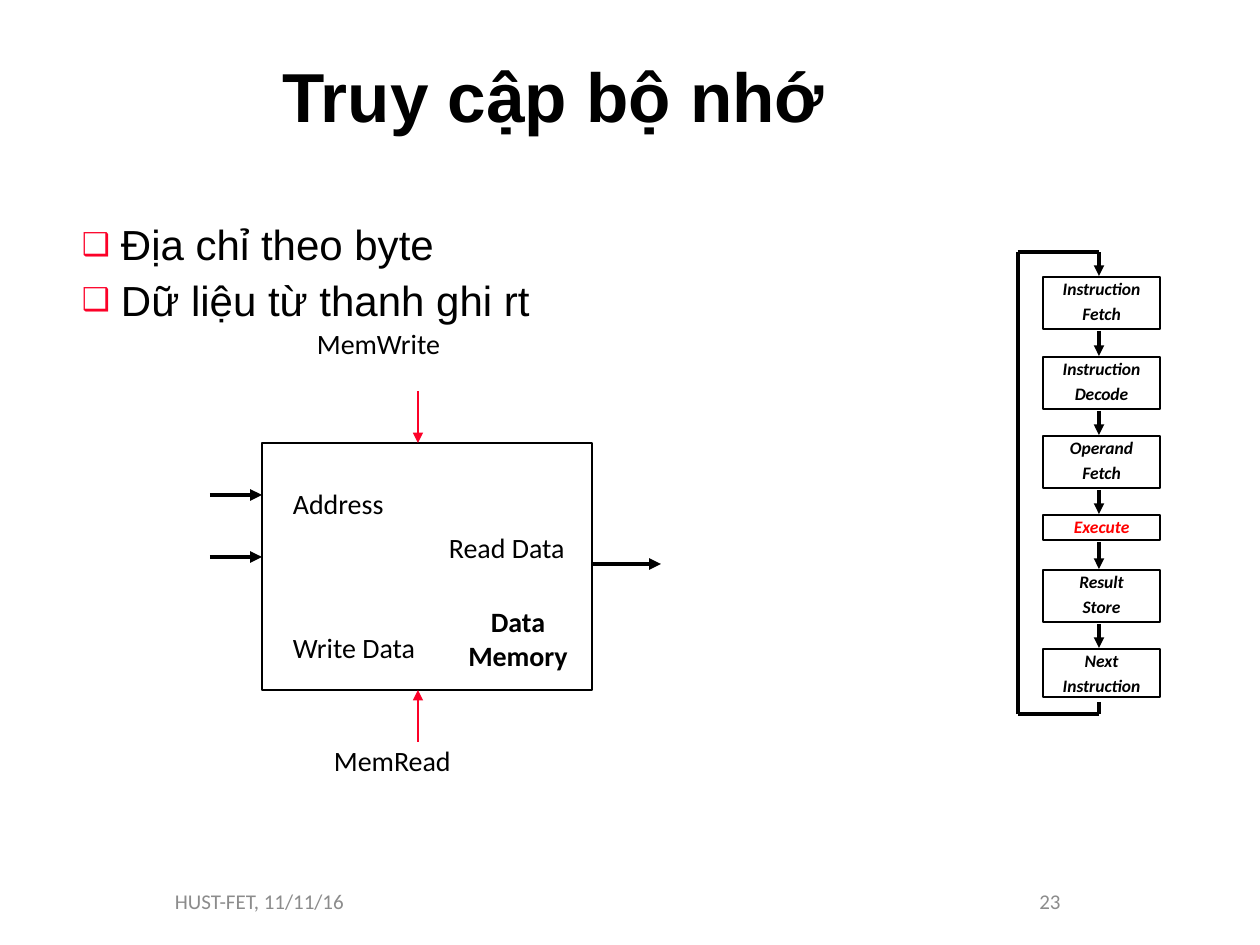
from lxml.etree import SubElement
from pptx import Presentation
from pptx.dml.color import RGBColor
from pptx.enum.shapes import MSO_CONNECTOR as Connector, MSO_SHAPE as Shape
from pptx.enum.text import MSO_ANCHOR as Anchor, PP_ALIGN as Align
from pptx.oxml.ns import qn
from pptx.util import Inches, Pt

PX = Inches(1) / 126
BLACK, RED, BRIGHT_RED, GREY = "000000", "FC0128", "FF0000", "8C8C8C"

TITLE = "Truy cập bộ nhớ"
BULLETS = ["Địa chỉ theo byte", "Dữ liệu từ thanh ghi rt"]

FOOTERS = [  # text, left, alignment
    ("HUST-FET, 11/11/16", 63, Align.RIGHT),
    ("23", 903, Align.CENTER),
]
MEMORY = (262, 443, 330, 247)
MEMORY_NAME = ["Data", "Memory"]
PORTS = [  # text, left, top, width
    ("Address", 280, 481, 129),
    ("Write Data", 280, 625, 159),
    ("Read Data", 436, 525, 160),
]
CONTROLS = [("MemWrite", 314, 325), ("MemRead", 331, 742)]
SIGNALS = [  # start, end, colour, width in points
    ((418, 391), (418, 443), RED, 1),
    ((418, 742), (418, 690), RED, 1),
    ((210, 495), (262, 495), BLACK, 2.25),
    ((210, 557), (262, 557), BLACK, 2.25),
    ((592, 564), (661, 564), BLACK, 2.25),
]
STAGE_LEFT, STAGE_WIDTH, STAGE_AXIS = 1043, 117, 1099
STAGES = [  # lines, top, height, colour
    (["Instruction", "Fetch"], 277, 52, BLACK),
    (["Instruction", "Decode"], 357, 52, BLACK),
    (["Operand", "Fetch"], 436, 52, BLACK),
    (["Execute"], 515, 25, BRIGHT_RED),
    (["Result", "Store"], 570, 52, BLACK),
    (["Next", "Instruction"], 649, 48, BLACK),
]
LOOP = [(STAGE_AXIS, 702), (STAGE_AXIS, 714), (1018, 714),
        (1018, 252), (STAGE_AXIS, 252), (STAGE_AXIS, 276)]


def px(*lengths):
    return [round(length * PX) for length in lengths]


def color(value):
    return RGBColor.from_string(value)


def write(shape, lines, size, fill=BLACK, font="Calibri", bold=False, italic=False,
          align=Align.LEFT, anchor=Anchor.TOP, insets=(13, 6), spacing=None, before=0):
    frame = shape.text_frame
    frame.word_wrap = True
    frame.vertical_anchor = anchor
    frame.margin_left = frame.margin_right = px(insets[0])[0]
    frame.margin_top = frame.margin_bottom = px(insets[1])[0]
    frame.text = "\n".join(lines)
    for para in frame.paragraphs:
        para.alignment = align
        para.space_before = Pt(before)
        if spacing:
            para.line_spacing = spacing
        for span in para.runs:
            span.font.size, span.font.name = Pt(size), font
            span.font.bold, span.font.italic = bold, italic
            span.font.color.rgb = color(fill)
    return frame


def add_text(page, bounds, lines, size, **style):
    return write(page.shapes.add_textbox(*px(*bounds)), lines, size, **style)


def add_box(page, bounds):
    box = page.shapes.add_shape(Shape.RECTANGLE, *px(*bounds))
    box.shadow.inherit = False
    box.fill.background()
    box.line.color.rgb = color(BLACK)
    box.line.width = Pt(1)
    return box


def add_line(page, start, end, stroke=BLACK, width=2, arrow=True):
    line = page.shapes.add_connector(Connector.STRAIGHT, *px(*start, *end))
    line.line.color.rgb = color(stroke)
    line.line.width = Pt(width)
    if arrow:
        SubElement(line.line._get_or_add_ln(), qn("a:tailEnd"), type="triangle")
    SubElement(line._element.spPr, qn("a:effectLst"))


def add_bullet(para):
    props = para._p.get_or_add_pPr()
    indent = px(39)[0]
    props.set("marL", str(indent))
    props.set("indent", str(-indent))
    SubElement(SubElement(props, qn("a:buClr")), qn("a:srgbClr"), val=RED)
    SubElement(props, qn("a:buSzPct"), val="75000")
    SubElement(props, qn("a:buFont"), typeface="Arial")
    SubElement(props, qn("a:buChar"), char="❑")


def add_memory(page):
    add_box(page, MEMORY)
    for start, end, stroke, width in SIGNALS:
        add_line(page, start, end, stroke, width)
    for text, left, top in CONTROLS:
        add_text(page, (left, top, 210, 55), [text], 16, insets=(3, 4),
                 spacing=Pt(18), before=6)
    for text, left, top, width in PORTS:
        add_text(page, (left, top, width, 47), [text], 16)
    add_text(page, (451, 599, 134, 81), MEMORY_NAME, 16, bold=True, align=Align.CENTER)


def add_cycle(page):
    for lines, top, height, fill in STAGES:
        box = add_box(page, (STAGE_LEFT, top, STAGE_WIDTH, height))
        write(box, lines, 10, fill, bold=True, italic=True, align=Align.CENTER,
              insets=(9, 4), spacing=0.86, before=4)
    for (_, top, height, _), (_, next_top, _, _) in zip(STAGES, STAGES[1:]):
        add_line(page, (STAGE_AXIS, top + height + 2), (STAGE_AXIS, next_top - 1))
    for start, end in zip(LOOP, LOOP[1:]):
        add_line(page, start, end, arrow=end == LOOP[-1])


def main():
    deck = Presentation()
    deck.slide_width, deck.slide_height = px(1260, 945)
    page = deck.slides.add_slide(deck.slide_layouts[5])
    title = page.shapes.title
    title.left, title.top, title.width, title.height = px(105, 53, 897, 84)
    write(title, [TITLE], 39.6, font="Arial", bold=True, align=Align.CENTER,
          anchor=Anchor.MIDDLE)
    for text, left, align in FOOTERS:
        add_text(page, (left, 876, 294, 50), [text], 12, fill=GREY, align=align,
                 anchor=Anchor.MIDDLE)
    add_memory(page)
    bullets = add_text(page, (73, 220, 1166, 108), BULLETS, 24, font="Arial",
                       insets=(9, 4), spacing=0.9, before=6)
    for para in bullets.paragraphs:
        add_bullet(para)
    add_cycle(page)
    deck.save("out.pptx")


if __name__ == "__main__":
    main()
